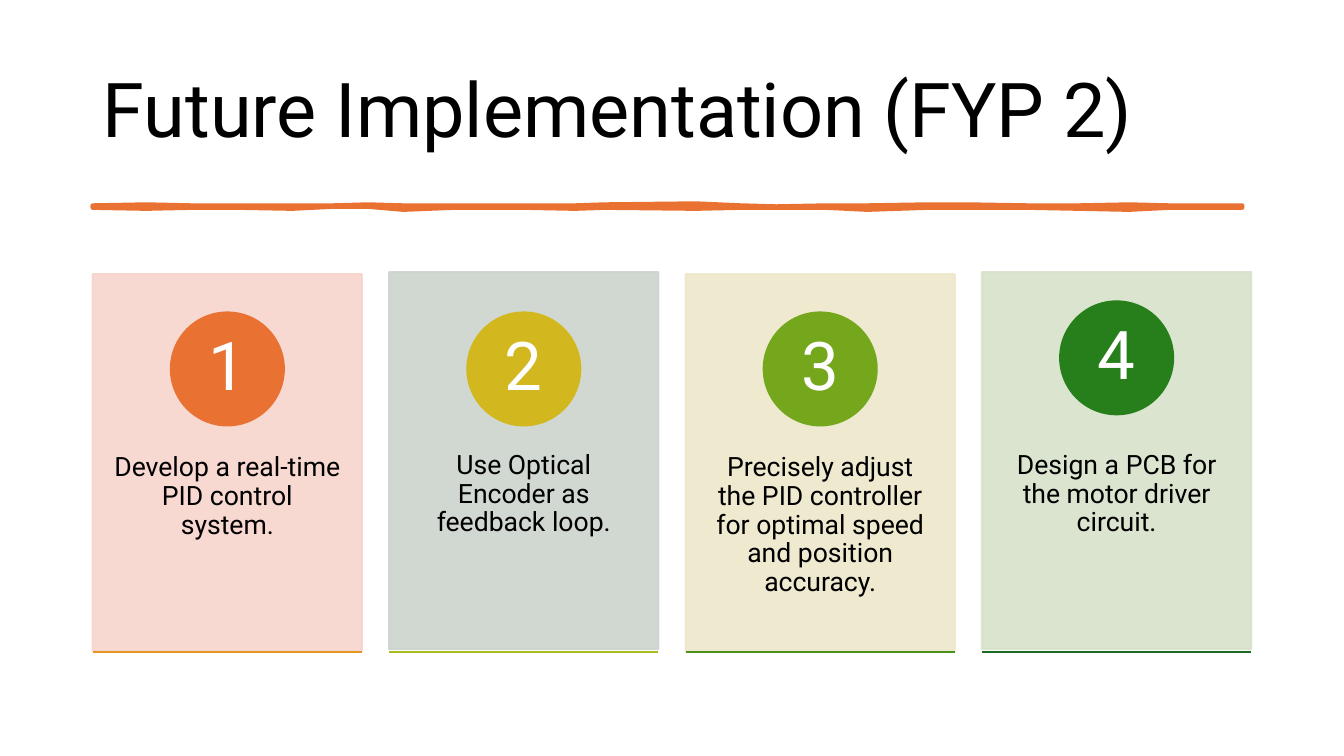
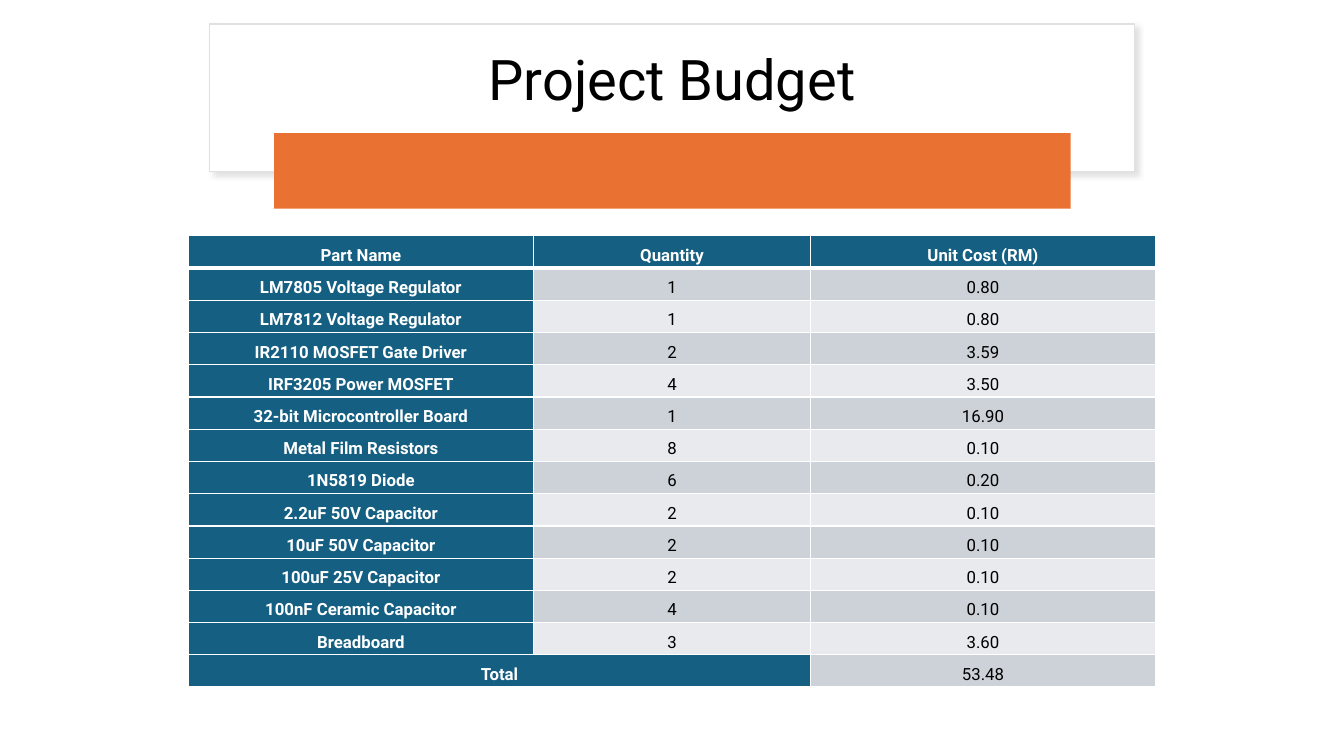
import pptx
import pptx.util
import pptx.dml.color
import pptx.enum.shapes
import pptx.enum.text
import pptx.oxml.ns
import lxml.etree

Inches = pptx.util.Inches
Pt = pptx.util.Pt
RGBColor = pptx.dml.color.RGBColor
SHAPE = pptx.enum.shapes.MSO_SHAPE
ALIGN = pptx.enum.text.PP_ALIGN
ANCHOR = pptx.enum.text.MSO_ANCHOR
qn = pptx.oxml.ns.qn

FONT = "Roboto"
BLACK = RGBColor(0x00, 0x00, 0x00)
WHITE = RGBColor(0xFF, 0xFF, 0xFF)
ORANGE = RGBColor(0xE9, 0x71, 0x32)
BLUE = RGBColor(0x15, 0x60, 0x82)
DARK = RGBColor(0xCC, 0xD2, 0xD8)
LIGHT = RGBColor(0xE8, 0xEA, 0xED)
EDGE = RGBColor(0xE1, 0xE1, 0xE1)

STEPS = [
    ("Develop a real-time PID control system.", 2.72, 3.1,
     RGBColor(0xF7, 0xD5, 0xCE), ORANGE, RGBColor(0xE4, 0x96, 0x22)),
    ("Use Optical Encoder as feedback loop.", 2.7, 3.1,
     RGBColor(0xCC, 0xD4, 0xCD), RGBColor(0xD2, 0xB8, 0x1E), RGBColor(0xAB, 0xBC, 0x1E)),
    ("Precisely adjust the PID controller for optimal speed and position accuracy.", 2.72, 3.1,
     RGBColor(0xEE, 0xE7, 0xCB), RGBColor(0x75, 0xA7, 0x1D), RGBColor(0x49, 0x93, 0x1D)),
    ("Design a PCB for the motor driver circuit.", 2.7, 2.99,
     RGBColor(0xD8, 0xE2, 0xCA), RGBColor(0x27, 0x7F, 0x1B), RGBColor(0x19, 0x6B, 0x24)),
]

STROKE = [
    (0.92, 2.04, 2.06), (1.45, 2.03, 2.07), (1.9, 2.04, 2.06), (2.37, 2.04, 2.06),
    (2.9, 2.04, 2.07), (3.3, 2.04, 2.05), (3.65, 2.03, 2.05), (4.0, 2.04, 2.08),
    (4.5, 2.04, 2.06), (5.2, 2.04, 2.06), (5.7, 2.04, 2.07), (6.0, 2.03, 2.06),
    (6.9, 2.02, 2.07), (7.35, 2.04, 2.06), (7.7, 2.05, 2.06), (8.2, 2.04, 2.06),
    (8.6, 2.04, 2.08), (9.2, 2.03, 2.06), (9.6, 2.03, 2.06), (10.2, 2.04, 2.06),
    (10.7, 2.04, 2.07), (11.2, 2.03, 2.08), (11.6, 2.04, 2.06), (12.32, 2.04, 2.06),
]

HEAD = ("Part Name", "Quantity", "Unit Cost (RM)")
PARTS = [
    ("LM7805 Voltage Regulator", "1", "0.80"),
    ("LM7812 Voltage Regulator", "1", "0.80"),
    ("IR2110 MOSFET Gate Driver", "2", "3.59"),
    ("IRF3205 Power MOSFET", "4", "3.50"),
    ("32-bit Microcontroller Board", "1", "16.90"),
    ("Metal Film Resistors", "8", "0.10"),
    ("1N5819 Diode", "6", "0.20"),
    ("2.2uF 50V Capacitor", "2", "0.10"),
    ("10uF 50V Capacitor", "2", "0.10"),
    ("100uF 25V Capacitor", "2", "0.10"),
    ("100nF Ceramic Capacitor", "4", "0.10"),
    ("Breadboard", "3", "3.60"),
]
TOTAL = ("Total", "", "53.48")
WIDTHS = (3.42, 2.75, 3.42)
ROW = 0.32


def box(left, top, width, height):
    return [Inches(v) for v in (left, top, width, height)]


def write(frame, text, size, color, align=ALIGN.CENTER, space=0.9, bold=False):
    para = frame.paragraphs[0]
    para.alignment = align
    para.line_spacing = space
    run = para.add_run()
    run.text = text
    run.font.name = FONT
    run.font.size = Pt(size)
    run.font.bold = bold
    run.font.color.rgb = color
    return para


def inset(frame, left, top, right, bottom):
    frame.margin_left, frame.margin_top = Inches(left), Inches(top)
    frame.margin_right, frame.margin_bottom = Inches(right), Inches(bottom)


def paint(shape, fill, line=None, width=1.5):
    shape.shadow.inherit = False
    shape.fill.solid()
    shape.fill.fore_color.rgb = fill
    if line is None:
        shape.line.fill.background()
    else:
        shape.line.color.rgb = line
        shape.line.width = Pt(width)


def fade(shape, percent):
    for color in shape._element.spPr.iter(qn("a:srgbClr")):
        lxml.etree.SubElement(color, qn("a:alpha"), val=str(percent * 1000))


def add_title(slide, text, place, size, align):
    title = slide.shapes.title
    title.left, title.top, title.width, title.height = box(*place)
    frame = title.text_frame
    frame.word_wrap = True
    frame.auto_size = pptx.enum.text.MSO_AUTO_SIZE.NONE
    frame.vertical_anchor = ANCHOR.MIDDLE
    write(frame, text, size, BLACK, align)
    return title


def add_stroke(slide):
    upper = [(x, top) for x, top, low in STROKE]
    lower = [(x, low) for x, top, low in reversed(STROKE)]
    first, *rest = [(Inches(x), Inches(y)) for x, y in upper + lower]
    build = slide.shapes.build_freeform(*first)
    build.add_line_segments(rest, close=True)
    paint(build.convert_to_shape(), ORANGE, ORANGE, 3.25)


def add_card(slide, index, step):
    text, top, disc_top, tint, tone, rule = step
    width, disc = 2.67, 1.12
    left = 0.92 + index * 2.94
    card = slide.shapes.add_shape(SHAPE.RECTANGLE, *box(left, top, width, 3.74))
    paint(card, tint, tint)
    fade(card, 90)
    frame = card.text_frame
    frame.word_wrap = True
    frame.vertical_anchor = ANCHOR.TOP
    inset(frame, 0.21, 1.78, 0.21, 0.44)
    write(frame, text, 19, BLACK)

    badge = slide.shapes.add_shape(
        SHAPE.OVAL, *box(left + (width - disc) / 2, disc_top, disc, disc))
    paint(badge, tone, tone)
    frame = badge.text_frame
    frame.word_wrap = False
    frame.vertical_anchor = ANCHOR.MIDDLE
    inset(frame, 0, 0, 0, 0)
    write(frame, str(index + 1), 48, WHITE)

    line = slide.shapes.add_connector(
        pptx.enum.shapes.MSO_CONNECTOR.STRAIGHT,
        *box(left, 6.47, left + width, 6.47))
    line.line.color.rgb = rule
    line.line.width = Pt(1.5)
    lxml.etree.SubElement(line._element.spPr, qn("a:effectLst"))


def add_shadow(shape):
    effect = shape._element.spPr.find(qn("a:effectLst"))
    shade = lxml.etree.SubElement(
        effect, qn("a:outerShdw"), blurRad=str(Pt(4)), dist=str(Pt(3)),
        dir=str(45 * 60000), algn="tl", rotWithShape="0")
    color = lxml.etree.SubElement(shade, qn("a:srgbClr"), val="C5C5C5")
    lxml.etree.SubElement(color, qn("a:alpha"), val="50000")


def add_edges(cell, bottom):
    props = cell._tc.get_or_add_tcPr()
    for side, width in (("L", 1), ("R", 1), ("T", 1), ("B", bottom)):
        edge = lxml.etree.SubElement(props, qn("a:ln" + side), w=str(Pt(width)))
        fill = lxml.etree.SubElement(edge, qn("a:solidFill"))
        lxml.etree.SubElement(fill, qn("a:srgbClr"), val=str(WHITE))


def add_budget(slide):
    rows = [HEAD, *PARTS, TOTAL]
    table = slide.shapes.add_table(
        len(rows), len(HEAD), *box(1.87, 2.34, sum(WIDTHS), ROW * len(rows))).table
    table.first_col = True
    for col, width in zip(table.columns, WIDTHS):
        col.width = Inches(width)
    last = len(rows) - 1
    table.cell(last, 0).merge(table.cell(last, 1))
    for r, row in enumerate(rows):
        table.rows[r].height = Inches(ROW)
        for c, text in enumerate(row):
            cell = table.cell(r, c)
            strong = r == 0 or c == 0
            add_edges(cell, 3 if r == 0 else 1)
            cell.fill.solid()
            cell.fill.fore_color.rgb = BLUE if strong else DARK if r % 2 else LIGHT
            inset(cell, 0.08, 0, 0.08, 0)
            if text:
                para = write(cell.text_frame, text, 12, WHITE if strong else BLACK,
                             space=1.5, bold=strong)
                para.space_after = Pt(12)


def main():
    deck = pptx.Presentation()
    deck.slide_width, deck.slide_height = Inches(13.33), Inches(7.5)
    layout = deck.slide_layouts[5]

    slide = deck.slides.add_slide(layout)
    add_title(slide, "Future Implementation (FYP 2)",
              (0.92, 0.4, 11.5, 1.45), 54, ALIGN.LEFT)
    add_stroke(slide)
    for index, step in enumerate(STEPS):
        add_card(slide, index, step)

    slide = deck.slides.add_slide(layout)
    panel = slide.shapes.add_shape(SHAPE.RECTANGLE, *box(2.08, 0.24, 9.17, 1.46))
    paint(panel, WHITE, EDGE, 1)
    add_shadow(panel)
    title = add_title(slide, "Project Budget", (2.3, 0.34, 8.73, 0.95), 40, ALIGN.CENTER)
    panel._element.addnext(title._element)
    band = slide.shapes.add_shape(SHAPE.RECTANGLE, *box(2.72, 1.32, 7.9, 0.75))
    paint(band, ORANGE)
    add_budget(slide)

    deck.save("out.pptx")


if __name__ == "__main__":
    main()
